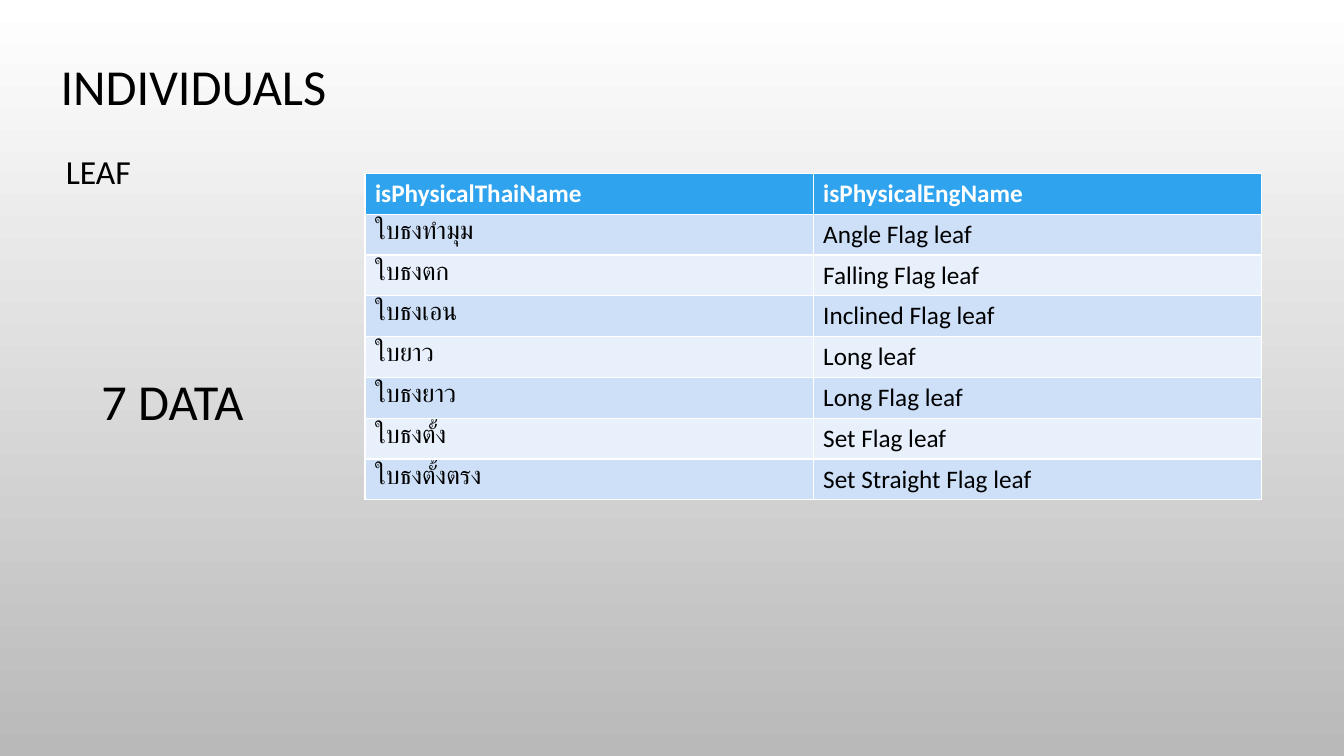
"""Build the slide that lists the leaf individuals."""
from pptx import Presentation
from pptx.dml.color import RGBColor
from pptx.enum.text import MSO_ANCHOR, PP_ALIGN
from pptx.util import Inches, Pt

FONT = "Calibri"
BLACK = RGBColor(0x00, 0x00, 0x00)
WHITE = RGBColor(0xFF, 0xFF, 0xFF)
GREY = RGBColor(0xB9, 0xB9, 0xB9)
BLUE = RGBColor(0x2F, 0xA3, 0xEE)
BANDS = (RGBColor(0xE8, 0xF0, 0xFC), RGBColor(0xCD, 0xE0, 0xF8))

LABELS = [
    ("INDIVIDUALS", 36, (0.33, 0.43, 3.18, 0.91)),
    ("LEAF", 24, (0.52, 1.34, 0.91, 0.76)),
    ("7 DATA", 36, (0.52, 3.55, 2.38, 0.91)),
]
LEAVES = [
    ("isPhysicalThaiName", "isPhysicalEngName"),
    ("ใบธงทำมุม", "Angle Flag leaf"),
    ("ใบธงตก", "Falling Flag leaf"),
    ("ใบธงเอน", "Inclined Flag leaf"),
    ("ใบยาว", "Long leaf"),
    ("ใบธงยาว", "Long Flag leaf"),
    ("ใบธงตั้ง", "Set Flag leaf"),
    ("ใบธงตั้งตรง", "Set Straight Flag leaf"),
]
GRID = (3.62, 1.72, 8.89, 3.24)


def style(para, size, color, bold=False):
    font = para.font
    font.name, font.size, font.bold = FONT, Pt(size), bold
    font.color.rgb = color


def add_label(slide, text, size, box):
    frame = slide.shapes.add_textbox(*map(Inches, box)).text_frame
    frame.word_wrap = True
    frame.vertical_anchor = MSO_ANCHOR.MIDDLE
    para = frame.paragraphs[0]
    para.text = text
    para.alignment = PP_ALIGN.CENTER
    para.line_spacing = 0.9
    style(para, size, BLACK)


def add_leaves(slide):
    shape = slide.shapes.add_table(len(LEAVES), len(LEAVES[0]), *map(Inches, GRID))
    for row, names in enumerate(LEAVES):
        head = row == 0
        for col, name in enumerate(names):
            cell = shape.table.cell(row, col)
            cell.text = name
            cell.fill.solid()
            cell.fill.fore_color.rgb = BLUE if head else BANDS[row % 2]
            style(cell.text_frame.paragraphs[0], 18, WHITE if head else BLACK, head)


def main():
    deck = Presentation()
    deck.slide_width, deck.slide_height = Inches(13.33), Inches(7.5)
    slide = deck.slides.add_slide(deck.slide_layouts[6])
    fill = slide.background.fill
    fill.gradient()
    fill.gradient_angle = 270
    for stop, color in zip(fill.gradient_stops, (WHITE, GREY)):
        stop.color.rgb = color
    for label in LABELS:
        add_label(slide, *label)
    add_leaves(slide)
    deck.save("out.pptx")


if __name__ == "__main__":
    main()
